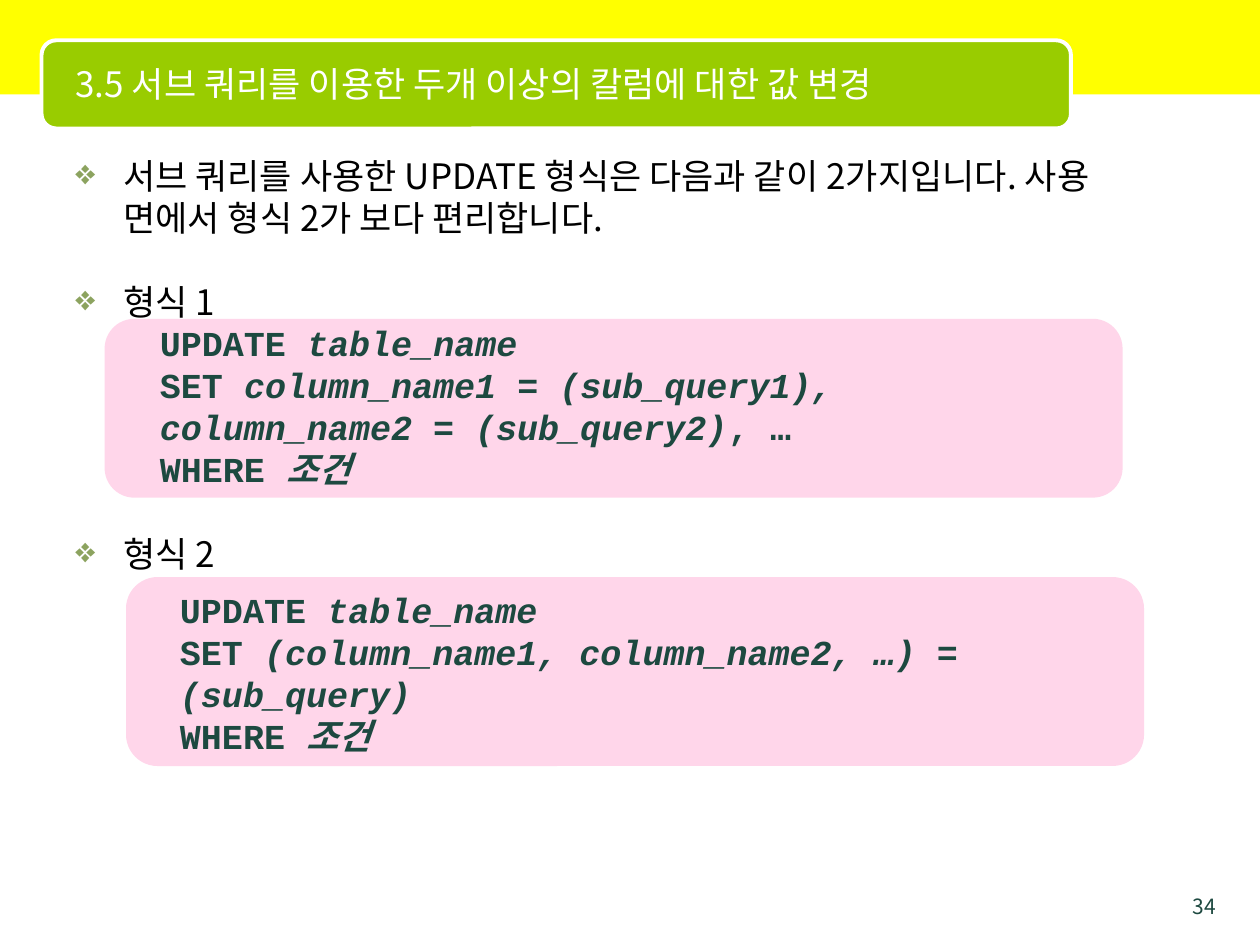
from dataclasses import dataclass

from lxml import etree
from pptx import Presentation
from pptx.dml.color import RGBColor
from pptx.enum.shapes import MSO_SHAPE
from pptx.enum.text import MSO_ANCHOR, PP_ALIGN
from pptx.oxml.ns import qn
from pptx.util import Inches, Pt

RECT = MSO_SHAPE.RECTANGLE
ROUND = MSO_SHAPE.ROUNDED_RECTANGLE
TOP, MIDDLE = MSO_ANCHOR.TOP, MSO_ANCHOR.MIDDLE
LEFT, RIGHT = PP_ALIGN.LEFT, PP_ALIGN.RIGHT

YELLOW = RGBColor(0xFF, 0xFF, 0x00)
GREEN = RGBColor(0x99, 0xCC, 0x00)
WHITE = RGBColor(0xFF, 0xFF, 0xFF)
BLACK = RGBColor(0x00, 0x00, 0x00)
DARK = RGBColor(0x1D, 0x49, 0x40)
SAGE = RGBColor(0x8C, 0xA3, 0x5F)
PINK = RGBColor(0xFF, 0x99, 0xCC)

SANS = "Noto Sans CJK KR"
MONO = "Courier New"


@dataclass
class Box:
    left: float
    top: float
    width: float
    height: float

    def place(self) -> tuple:
        return tuple(Inches(n) for n in (self.left, self.top, self.width, self.height))


@dataclass
class Run:
    text: str
    slant: bool = False


@dataclass
class Code:
    panel: Box
    frame: Box
    lines: list[list[Run]]


@dataclass
class Point:
    text: str
    gap: int


TABLE = [Run("UPDATE "), Run("table_name", True)]
WHERE = [Run("WHERE "), Run("조건", True)]
CODES = [
    Code(Box(0.83, 2.53, 8.08, 1.42), Box(1.17, 2.5, 7.42, 1.44), [
        TABLE,
        [Run("SET "),
         Run("column_name1 = (sub_query1), column_name2 = (sub_query2)", True),
         Run(", …")],
        WHERE,
    ]),
    Code(Box(1, 4.58, 8.08, 1.5), Box(1.33, 4.62, 7.42, 1.44), [
        TABLE,
        [Run("SET "), Run("(column_name1, column_name2, …) = (sub_query)", True)],
        WHERE,
    ]),
]
POINTS = [
    Point("서브 쿼리를 사용한 UPDATE 형식은 다음과 같이 2가지입니다. "
          "사용 면에서 형식 2가 보다 편리합니다.", 0),
    Point("형식 1", 24),
    Point("형식 2", 120),
]


def add_panel(slide, kind, box: Box, color: RGBColor):
    shape = slide.shapes.add_shape(kind, *box.place())
    shape.shadow.inherit = False
    shape.fill.solid()
    shape.fill.fore_color.rgb = color
    shape.line.fill.background()
    return shape


def fade(shape, share: int) -> None:
    color = shape.fill._xPr.find(".//" + qn("a:srgbClr"))
    etree.SubElement(color, qn("a:alpha"), val=str(share * 1000))


def add_frame(slide, box: Box, anchor=TOP):
    frame = slide.shapes.add_textbox(*box.place()).text_frame
    frame.word_wrap = True
    frame.vertical_anchor = anchor
    return frame


def next_para(frame, first: bool):
    return frame.paragraphs[0] if first else frame.add_paragraph()


def style(para, name: str, size: int, color: RGBColor, bold: bool = False) -> None:
    para.line_spacing = Pt(size * 1.2)
    font = para.font
    font.name, font.size, font.bold = name, Pt(size), bold
    font.color.rgb = color
    etree.SubElement(font._element, qn("a:ea"), typeface=SANS)


def add_label(slide, box: Box, text: str, size: int, color: RGBColor,
              align=LEFT, anchor=TOP) -> None:
    para = add_frame(slide, box, anchor).paragraphs[0]
    para.text = text
    para.alignment = align
    style(para, SANS, size, color)


def add_mark(para) -> None:
    props = para._p.get_or_add_pPr()
    props.set("marL", str(Inches(0.38)))
    props.set("indent", str(Inches(-0.38)))
    tint = etree.SubElement(props, qn("a:buClr"))
    etree.SubElement(tint, qn("a:srgbClr"), val=str(SAGE))
    etree.SubElement(props, qn("a:buChar"), char="❖")


def add_points(slide, box: Box, points: list[Point]) -> None:
    frame = add_frame(slide, box)
    for i, point in enumerate(points):
        para = next_para(frame, i == 0)
        para.text = point.text
        add_mark(para)
        para.space_before = Pt(point.gap)
        style(para, SANS, 20, BLACK)


def add_code(slide, code: Code) -> None:
    fade(add_panel(slide, ROUND, code.panel, PINK), 40)
    frame = add_frame(slide, code.frame)
    for i, line in enumerate(code.lines):
        para = next_para(frame, i == 0)
        for part in line:
            run = para.add_run()
            run.text = part.text
            run.font.italic = part.slant
        style(para, MONO, 20, DARK, True)


def main() -> None:
    deck = Presentation()
    deck.slide_width, deck.slide_height = Inches(10), Inches(7.5)
    slide = deck.slides.add_slide(deck.slide_layouts[6])
    add_panel(slide, RECT, Box(0, 0, 10, 0.75), YELLOW)
    banner = add_panel(slide, ROUND, Box(0.33, 0.32, 8.17, 0.7), GREEN)
    banner.line.color.rgb = WHITE
    banner.line.width = Pt(2.25)
    add_label(slide, Box(9.25, 7.04, 0.5, 0.21), "34", 12, DARK, RIGHT)
    add_label(slide, Box(0.5, 0.35, 7.92, 0.62),
              "3.5 서브 쿼리를 이용한 두개 이상의 칼럼에 대한 값 변경",
              20, WHITE, anchor=MIDDLE)
    add_points(slide, Box(0.5, 1.18, 9, 6.14), POINTS)
    for code in CODES:
        add_code(slide, code)
    deck.save("out.pptx")


if __name__ == "__main__":
    main()
